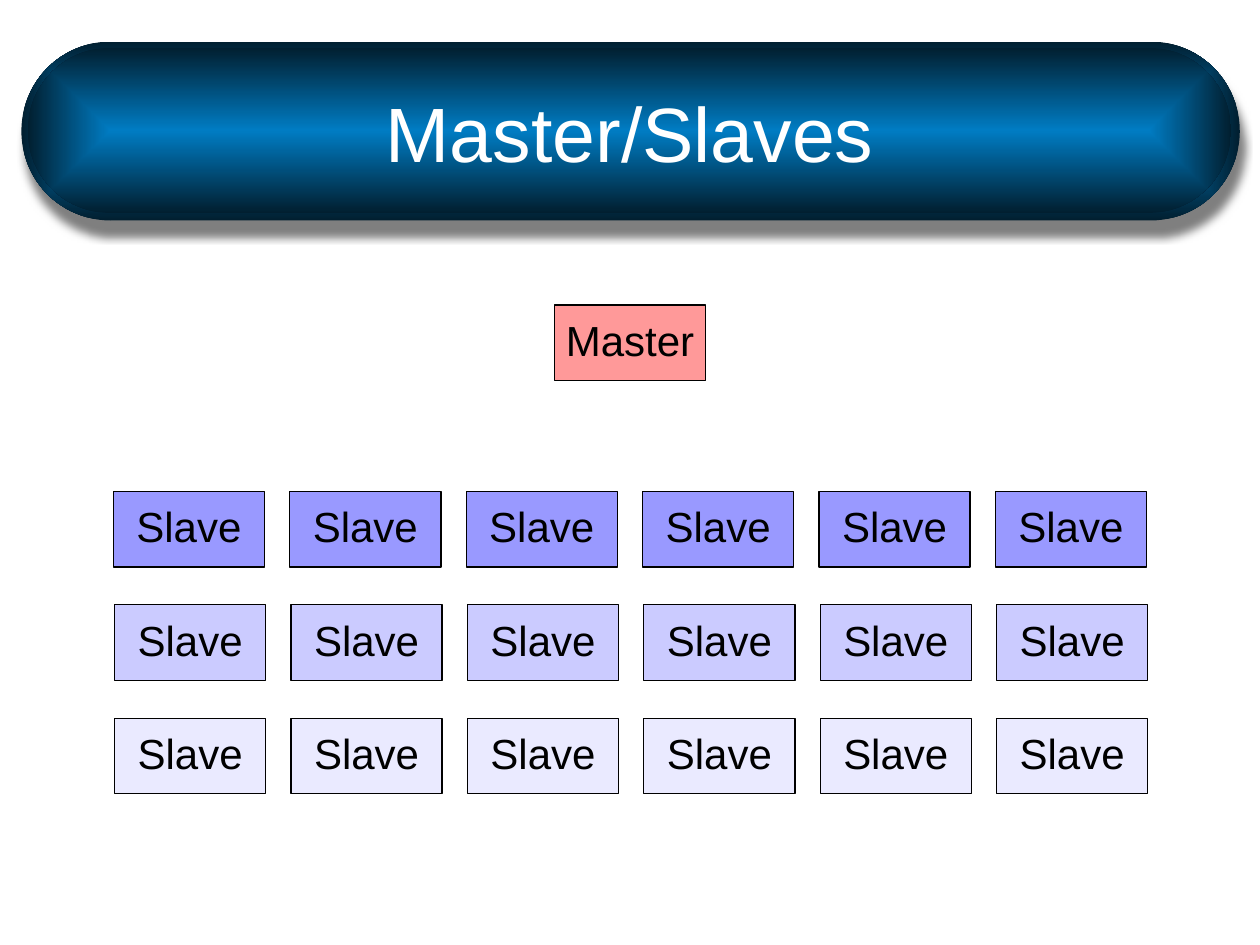
import dataclasses

import pptx
import pptx.dml.color
import pptx.enum.shapes
import pptx.enum.text
import pptx.oxml
import pptx.oxml.ns
import pptx.util

Inches = pptx.util.Inches
Pt = pptx.util.Pt
qn = pptx.oxml.ns.qn
KINDS = pptx.enum.shapes.MSO_SHAPE


@dataclasses.dataclass(frozen=True)
class Theme:
    font: str = "Arial"
    title: int = 44
    label: int = 24
    white: str = "FFFFFF"
    black: str = "000000"
    red: str = "FF9999"
    blue: str = "9999FF"
    glow: str = "007CC3"
    deep: str = "011F30"


THEME = Theme()


def rgb(code):
    return pptx.dml.color.RGBColor.from_string(code)


def node(tag, **attrs):
    item = pptx.oxml.parse_xml(f"<a:{tag} {pptx.oxml.ns.nsdecls('a')}/>")
    for name, value in attrs.items():
        item.set(name, str(value))
    return item


def write(shape, text, size=THEME.label, color=THEME.black, inset=(0, 0, 0, 0)):
    """Put one centred line of text in the shape; inset is left, top, right, bottom."""
    frame = shape.text_frame
    frame.word_wrap = True
    frame.vertical_anchor = pptx.enum.text.MSO_ANCHOR.MIDDLE
    (frame.margin_left, frame.margin_top,
     frame.margin_right, frame.margin_bottom) = map(Inches, inset)
    para = frame.paragraphs[0]
    para.alignment = pptx.enum.text.PP_ALIGN.CENTER
    run = para.add_run()
    run.text = text
    run.font.name = THEME.font
    run.font.size = Pt(size)
    run.font.color.rgb = rgb(color)


def add_shape(slide, kind, area):
    shape = slide.shapes.add_shape(kind, *map(Inches, area))
    shape.shadow.inherit = False
    return shape


def add_pill(slide, area):
    """Add a round-ended bar that is bright inside and dark at its rim."""
    pill = add_shape(slide, KINDS.ROUNDED_RECTANGLE, area)
    pill.adjustments[0] = 0.5
    pill.line.fill.background()
    pill.fill.gradient()
    for stop, color in zip(pill.fill.gradient_stops, (THEME.glow, THEME.deep)):
        stop.color.rgb = rgb(color)
    grad = pill._element.spPr.find(qn("a:gradFill"))
    grad.remove(grad.find(qn("a:lin")))
    way = node("path", path="shape")
    way.append(node("fillToRect", l=50000, t=50000, r=50000, b=50000))
    grad.append(way)
    return pill


def add_shade(shape):
    """Add a soft shadow below the shape."""
    shade = node("outerShdw", blurRad=Pt(5), dist=Pt(9.2), dir=77 * 60000,
                 algn="ctr", rotWithShape=0)
    color = node("srgbClr", val=THEME.black)
    color.append(node("alpha", val=50000))
    shade.append(color)
    shape._element.spPr.find(qn("a:effectLst")).append(shade)


def add_box(slide, text, left, top, color, alpha=100):
    box = add_shape(slide, KINDS.RECTANGLE, (left, top, 1.2, 0.6))
    box.fill.solid()
    box.fill.fore_color.rgb = rgb(color)
    if alpha < 100:
        tint = box._element.spPr.find(qn("a:solidFill"))[0]
        tint.append(node("alpha", val=alpha * 1000))
    box.line.color.rgb = rgb(THEME.black)
    box.line.width = Pt(0.75)
    write(box, text, inset=(0, 0, 0, 0.05))


def add_title(slide, text):
    add_shade(add_pill(slide, (0.17, 0.33, 9.67, 1.42)))
    add_pill(slide, (0.22, 0.38, 9.55, 1.31))
    title = slide.shapes.add_textbox(*map(Inches, (0.75, 0.42, 8.5, 1.25)))
    write(title, text, size=THEME.title, color=THEME.white,
          inset=(0.1, 0.05, 0.1, 0.05))


def main():
    deck = pptx.Presentation()
    deck.slide_width, deck.slide_height = Inches(10), Inches(7.5)
    slide = deck.slides.add_slide(deck.slide_layouts[6])
    add_title(slide, "Master/Slaves")
    add_box(slide, "Master", 4.4, 2.42, THEME.red)
    for row, (left, alpha) in enumerate(((0.9, 100), (0.91, 50), (0.91, 20))):
        for col in range(6):
            add_box(slide, "Slave", left + 1.4 * col, 3.9 + 0.9 * row,
                    THEME.blue, alpha)
    deck.save("out.pptx")


if __name__ == "__main__":
    main()
